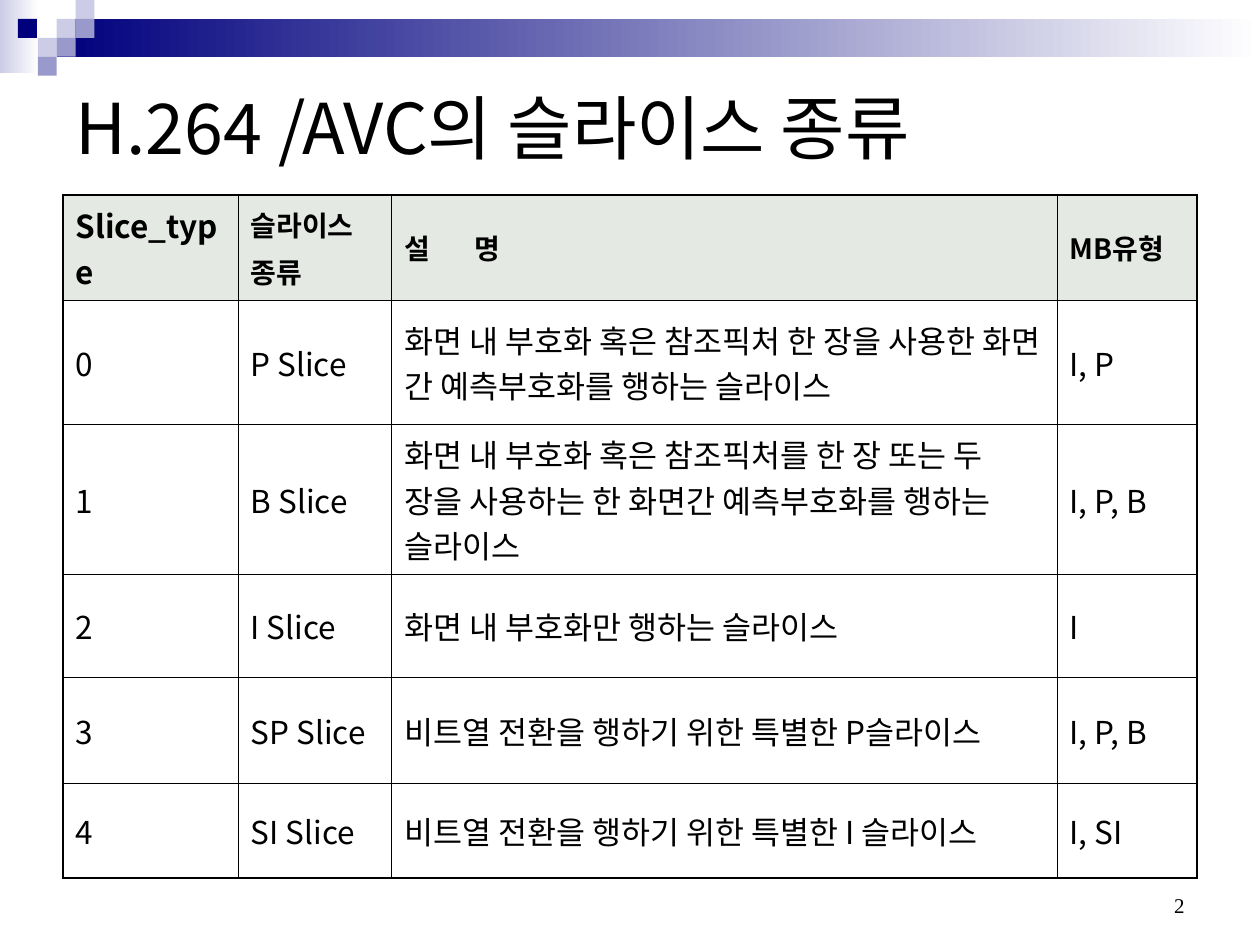
"""Build the slide that lists the H.264 /AVC slice types."""
from dataclasses import dataclass

from lxml import etree
from pptx import Presentation
from pptx import util as u
from pptx.dml.color import RGBColor
from pptx.enum import shapes, text
from pptx.oxml.ns import qn

WIDTH, HEIGHT = u.Inches(10), u.Inches(7.5)
TILE = u.Inches(0.15)
SANS, SERIF = "Noto Sans CJK KR", "Times New Roman"
COLORS = {"white": "FFFFFF", "black": "000000", "navy": "00007D",
          "pale": "CCCCE6", "violet": "9999CC", "header": "E4E9E3"}
THIN, THICK = 0.45, 1.08


@dataclass(frozen=True)
class Block:
    """A decoration measured in tiles; a fade runs from its color to white."""
    column: float
    row: float
    color: str
    columns: float = 1
    rows: float = 1
    fade: bool = False


@dataclass(frozen=True)
class TextStyle:
    """Character and paragraph format of a text."""
    size: float
    font: str = SANS
    bold: bool = False
    align: text.PP_ALIGN = text.PP_ALIGN.LEFT
    before: float = 0
    tracking: float = 0


BLOCKS = (
    Block(0, 0, "pale", 2.05, 3.85, True),
    Block(3, 1, "navy", 63.67, 2, True),
    Block(3, 1, "pale"), Block(4, 0, "pale"), Block(4, 1, "violet"),
    Block(2, 2, "pale"), Block(0.95, 1, "navy"),
    Block(3, 2, "violet"), Block(2, 3, "violet"),
)
BODY = TextStyle(18, before=4.5)
HEADER = TextStyle(16, bold=True, before=4)
HEADER_STYLES = (TextStyle(18, bold=True, before=4.5), HEADER,
                 TextStyle(16, bold=True, before=4, tracking=11), HEADER)
COLUMN_WIDTHS = (1.39, 1.22, 5.28, 1.11)
ROW_HEIGHTS = (0.83, 0.99, 1.19, 0.82, 0.84, 0.75)
ROWS = (
    ("Slice_type", "슬라이스\n종류", "설 명", "MB유형"),
    ("0", "P Slice", "화면 내 부호화 혹은 참조픽처 한 장을 사용한 화면 간 예측부호화를 행하는 슬라이스", "I, P"),
    ("1", "B Slice", "화면 내 부호화 혹은 참조픽처를 한 장 또는 두 장을 사용하는 한 화면간 예측부호화를 행하는 슬라이스", "I, P, B"),
    ("2", "I Slice", "화면 내 부호화만 행하는 슬라이스", "I"),
    ("3", "SP Slice", "비트열 전환을 행하기 위한 특별한 P슬라이스", "I, P, B"),
    ("4", "SI Slice", "비트열 전환을 행하기 위한 특별한 I 슬라이스", "I, SI"),
)


def rgb(name: str) -> RGBColor:
    """Look up a named color."""
    return RGBColor.from_string(COLORS[name])


def place(shape, left: float, top: float, width: float, height: float) -> None:
    """Place a shape by shares of the slide's size."""
    box = {"left": WIDTH * left, "top": HEIGHT * top,
           "width": WIDTH * width, "height": HEIGHT * height}
    for name, value in box.items():
        setattr(shape, name, int(value))


def format_text(frame, style: TextStyle) -> None:
    """Apply a style to every paragraph of a text frame."""
    for paragraph in frame.paragraphs:
        for name, value in {"alignment": style.align,
                            "space_before": u.Pt(style.before)}.items():
            setattr(paragraph, name, value)
        for run in paragraph.runs:
            for name, value in {"size": u.Pt(style.size), "bold": style.bold,
                                "name": style.font}.items():
                setattr(run.font, name, value)
            run.font.color.rgb = rgb("black")
            properties = run._r.get_or_add_rPr()
            etree.SubElement(properties, qn("a:ea"), typeface=style.font)
            if style.tracking:
                properties.set("spc", str(int(style.tracking * 100)))


def draw_block(slide, block: Block) -> None:
    """Draw one block of the banner."""
    box = (int(TILE * n) for n in (block.column, block.row, block.columns, block.rows))
    shape = slide.shapes.add_shape(shapes.MSO_SHAPE.RECTANGLE, *box)
    shape.shadow.inherit = False
    shape.line.fill.background()
    if not block.fade:
        shape.fill.solid()
        shape.fill.fore_color.rgb = rgb(block.color)
        return
    shape.fill.gradient()
    shape.fill.gradient_angle = 180
    for stop, name in zip(shape.fill.gradient_stops, ("white", block.color)):
        stop.color.rgb = rgb(name)


def draw_borders(cell, widths: dict[str, float]) -> None:
    """Give each side of a cell a black line."""
    properties = cell._tc.get_or_add_tcPr()
    for index, (side, width) in enumerate(widths.items()):
        line = etree.Element(qn(f"a:ln{side}"), w=str(int(u.Pt(width))))
        fill = etree.SubElement(line, qn("a:solidFill"))
        etree.SubElement(fill, qn("a:srgbClr"), val=COLORS["black"])
        properties.insert(index, line)


def draw_table(slide) -> None:
    """Draw the table with a shaded header and a thick outer frame."""
    last_row, last_column = len(ROWS) - 1, len(COLUMN_WIDTHS) - 1
    frame = slide.shapes.add_table(len(ROWS), len(COLUMN_WIDTHS), 0, 0, WIDTH, HEIGHT)
    place(frame, 0.05, 1.55 / 7.5, 0.9, sum(ROW_HEIGHTS) / 7.5)
    table = frame.table
    table.first_row = table.horz_banding = False
    for column, width in zip(table.columns, COLUMN_WIDTHS):
        column.width = u.Inches(width)
    for r, (height, row) in enumerate(zip(ROW_HEIGHTS, ROWS)):
        table.rows[r].height = u.Inches(height)
        for c, content in enumerate(row):
            cell = table.cell(r, c)
            cell.text = content
            cell.vertical_anchor = text.MSO_ANCHOR.MIDDLE
            format_text(cell.text_frame, BODY if r else HEADER_STYLES[c])
            if r:
                cell.fill.background()
            else:
                cell.fill.solid()
                cell.fill.fore_color.rgb = rgb("header")
            outer = {"L": c == 0, "R": c == last_column, "T": r == 0, "B": r == last_row}
            draw_borders(cell, {side: THICK if edge else THIN for side, edge in outer.items()})


def fill_frame(shape, content: str, anchor: text.MSO_ANCHOR, style: TextStyle) -> None:
    """Write styled text into a shape."""
    frame = shape.text_frame
    frame.text = content
    for name, value in {"word_wrap": True, "vertical_anchor": anchor,
                        "auto_size": text.MSO_AUTO_SIZE.NONE}.items():
        setattr(frame, name, value)
    format_text(frame, style)


def main() -> None:
    """Build and save the slide."""
    presentation = Presentation()
    presentation.slide_width, presentation.slide_height = WIDTH, HEIGHT
    slide = presentation.slides.add_slide(presentation.slide_layouts[5])
    for block in BLOCKS:
        draw_block(slide, block)
    title = slide.shapes.title
    place(title, 0.05, 0.5 / 7.5, 0.9, 1.01 / 7.5)
    fill_frame(title, "H.264 /AVC의 슬라이스 종류", text.MSO_ANCHOR.MIDDLE, TextStyle(40))
    draw_table(slide)
    number = slide.shapes.add_textbox(0, 0, WIDTH, HEIGHT)
    place(number, 0.717, 6.83 / 7.5, 0.233, 0.5 / 7.5)
    fill_frame(number, "2", text.MSO_ANCHOR.BOTTOM,
               TextStyle(12, SERIF, align=text.PP_ALIGN.RIGHT))
    presentation.save("out.pptx")


if __name__ == "__main__":
    main()
